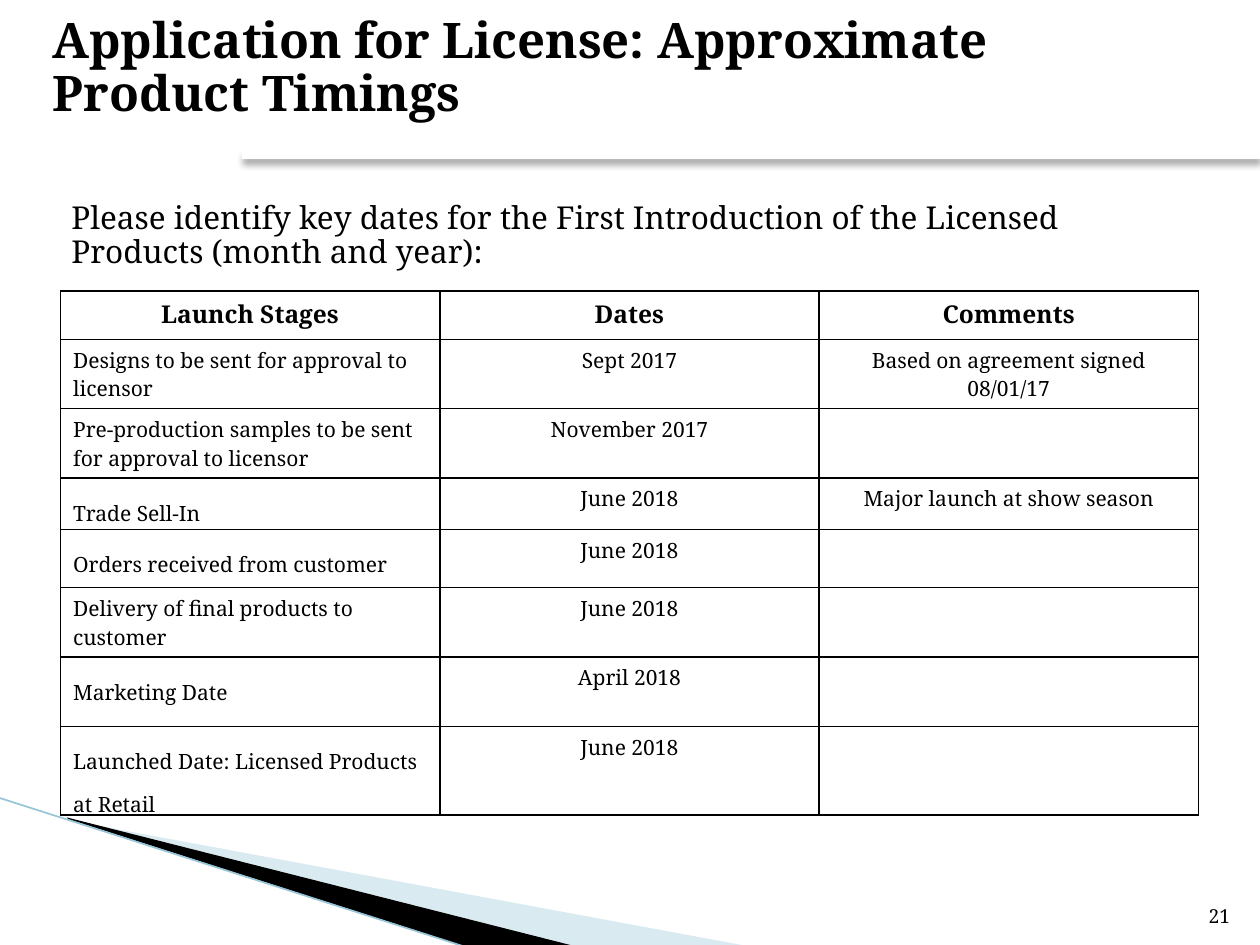
from collections import namedtuple

from lxml.etree import SubElement
from pptx import Presentation
from pptx.dml.color import RGBColor
from pptx.enum.text import MSO_ANCHOR, PP_ALIGN
from pptx.oxml.ns import qn
from pptx.util import Cm, Pt

BLACK = RGBColor(0x00, 0x00, 0x00)
WHITE = RGBColor(0xFF, 0xFF, 0xFF)
PALE_BLUE = RGBColor(0xA0, 0xCB, 0xDC)
EDGE_BLUE = RGBColor(0x97, 0xC5, 0xD8)
FONT = "Noto Serif"

Box = namedtuple("Box", "left top width height")

HEADERS = ["Launch Stages", "Dates", "Comments"]
STAGES = [
    ("Designs to be sent for approval to licensor", "Sept 2017",
     "Based on agreement signed 08/01/17", 1.4, 1),
    ("Pre-production samples to be sent for approval to licensor",
     "November 2017", "", 1.4, 1),
    ("Trade Sell-In", "June 2018", "Major launch at show season", 1.04, 1.5),
    ("Orders received from customer", "June 2018", "", 1.17, 1.5),
    ("Delivery of final products to customer", "June 2018", "", 1.4, 1),
    ("Marketing Date", "April 2018", "", 1.4, 1.5),
    ("Launched Date: Licensed Products at Retail", "June 2018", "", 1.4, 1.5),
]


def write_text(frame, text, size=12, bold=False, align=PP_ALIGN.LEFT, spacing=1):
    """Fill a text frame with one formatted paragraph per line of text."""
    frame.word_wrap = True
    for index, line in enumerate(text.split("\n")):
        para = frame.add_paragraph() if index else frame.paragraphs[0]
        para.alignment = align
        para.line_spacing = spacing
        span = para.add_run()
        span.text = line
        span.font.name = FONT
        span.font.size = Pt(size)
        span.font.bold = bold
        span.font.color.rgb = BLACK


def add_text(page, box, text, anchor=MSO_ANCHOR.TOP, **style):
    """Place a text box over the given box."""
    frame = page.shapes.add_textbox(*map(Cm, box)).text_frame
    frame.vertical_anchor = anchor
    write_text(frame, text, **style)


def add_rule(page, start, end, color, width):
    """Draw a straight line and return its empty effect list."""
    rule = page.shapes.add_connector(1, *map(Cm, start + end))
    rule.line.color.rgb = color
    rule.line.width = Pt(width)
    return SubElement(rule._element.spPr, qn("a:effectLst"))


def add_wedge(page, points, color, opacity=100):
    """Draw a filled polygon without an outline."""
    corners = [tuple(map(Cm, point)) for point in points]
    builder = page.shapes.build_freeform(*corners[0], scale=1.0)
    builder.add_line_segments(corners[1:], close=True)
    wedge = builder.convert_to_shape()
    wedge.shadow.inherit = False
    wedge.line.fill.background()
    wedge.fill.solid()
    wedge.fill.fore_color.rgb = color
    if opacity < 100:
        tint = wedge._element.spPr.find(qn("a:solidFill"))[0]
        SubElement(tint, qn("a:alpha"), val=str(opacity * 1000))


def add_corner(page, box):
    """Draw the slanted wedges and their edge in the lower corner."""
    def place(*points):
        return [(box.left + x, box.top + y) for x, y in points]

    add_wedge(page, place((1.4, 0.54), (box.width, 3.08), (11.58, 3.08), (1.4, 0.51)),
              PALE_BLUE, opacity=40)
    add_wedge(page, place((1.35, 0.48), (11.61, 3.08), (9.45, 3.1), (1.37, 0.51)), BLACK)
    start, end = place((-0.03, 0.08), (9.42, 3.1))
    add_rule(page, start, end, EDGE_BLUE, 0.95)


def add_heading(page, box):
    """Place the title with the shadowed rule below it."""
    add_text(page, Box(box.left, box.top, 23.55, 2.64),
             "Application for License: Approximate\nProduct Timings",
             size=28, bold=True, spacing=0.9)
    bottom = box.top + box.height
    effects = add_rule(page, (box.left + 4.07, bottom),
                       (box.left + box.width, bottom), WHITE, 4.33)
    shadow = SubElement(effects, qn("a:outerShdw"), blurRad=str(Pt(4)),
                        dist=str(Pt(3)), dir="5400000", rotWithShape="0")
    tint = SubElement(shadow, qn("a:srgbClr"), val=str(BLACK))
    SubElement(tint, qn("a:alpha"), val="35000")


def style_cell(cell):
    """Give a cell black borders and a white fill."""
    properties = cell._tc.get_or_add_tcPr()
    for side in ("a:lnL", "a:lnR", "a:lnT", "a:lnB"):
        border = SubElement(properties, qn(side), w=str(Pt(1)))
        SubElement(SubElement(border, qn("a:solidFill")), qn("a:srgbClr"), val=str(BLACK))
    cell.fill.solid()
    cell.fill.fore_color.rgb = WHITE


def add_schedule(page, box):
    """Place the table of launch stages, dates and comments."""
    table = page.shapes.add_table(len(STAGES) + 1, len(HEADERS), *map(Cm, box)).table
    for column in table.columns:
        column.width = Cm(box.width / len(HEADERS))
    table.rows[0].height = Cm(0.97)
    for cell, header in zip(table.rows[0].cells, HEADERS):
        style_cell(cell)
        write_text(cell.text_frame, header, size=14, bold=True, align=PP_ALIGN.CENTER)
    for index, (stage, date, comment, height, spacing) in enumerate(STAGES, 1):
        row = table.rows[index]
        row.height = Cm(height)
        for column, text in enumerate((stage, date, comment)):
            cell = row.cells[column]
            style_cell(cell)
            if text:
                write_text(cell.text_frame, text,
                           align=PP_ALIGN.CENTER if column else PP_ALIGN.LEFT,
                           spacing=1 if column else spacing)


def main():
    """Build and save the product timings slide."""
    deck = Presentation()
    deck.slide_width, deck.slide_height = Cm(25.4), Cm(19.05)
    page = deck.slides.add_slide(deck.slide_layouts[6])
    add_corner(page, Box(0, 16, 15.11, 3.05))
    add_heading(page, Box(0.81, 0.2, 24.59, 2.92))
    add_text(page, Box(24.03, 17.81, 1.02, 1.02), "21", anchor=MSO_ANCHOR.BOTTOM,
             size=11, align=PP_ALIGN.RIGHT)
    add_text(page, Box(1.19, 3.96, 23.16, 1.8),
             "Please identify key dates for the First Introduction of the "
             "Licensed Products (month and year):", size=18, spacing=0.9)
    add_schedule(page, Box(1.22, 5.87, 22.94, 10.54))
    deck.save("out.pptx")


if __name__ == "__main__":
    main()
